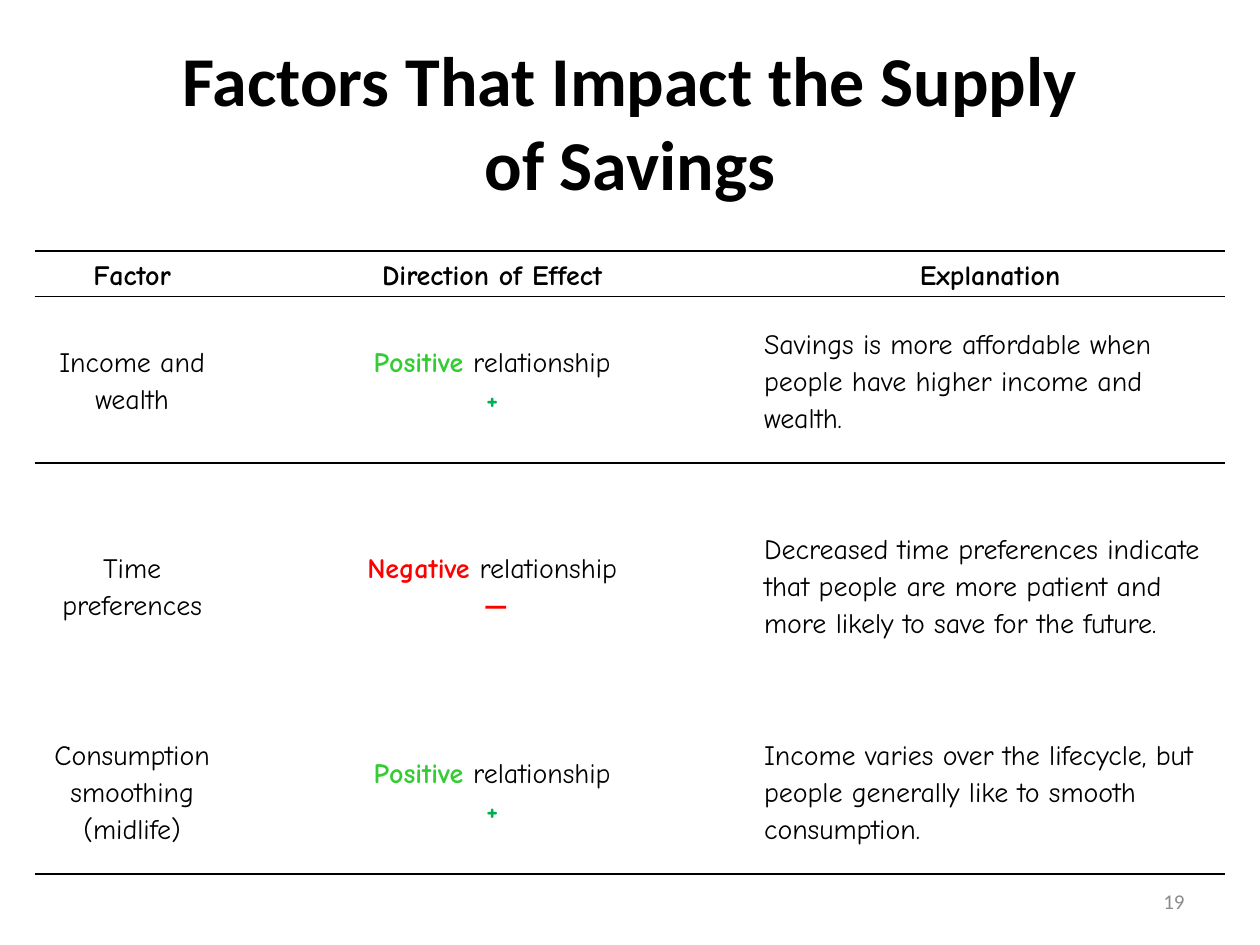
from lxml import etree
from pptx import Presentation
from pptx.dml.color import RGBColor
from pptx.enum import text
from pptx.oxml import ns
from pptx.util import Pt

BLACK = RGBColor(0x00, 0x00, 0x00)
GRAY = RGBColor(0x8C, 0x8C, 0x8C)
LIME = RGBColor(0x33, 0xCC, 0x33)
GREEN = RGBColor(0x00, 0xB0, 0x50)
RED = RGBColor(0xFF, 0x00, 0x00)

CENTER, LEFT, RIGHT = text.PP_ALIGN.CENTER, text.PP_ALIGN.LEFT, text.PP_ALIGN.RIGHT
PLAIN_STYLE = "{2D5ABB26-0587-4C30-8999-92F81FD0307C}"
COLUMN_WIDTHS = (111.5, 300, 269)
HEADER_HEIGHT, FACTOR_HEIGHT, GAP_HEIGHT = 26, 95, 22.5

HEADINGS = ("Factor", "Direction of Effect", "Explanation")
POSITIVE = ("Positive ", LIME, "+", GREEN)
NEGATIVE = ("Negative ", RED, " ̶", RED)
FACTORS = (
    ("Income and wealth", POSITIVE,
     "Savings is more affordable when people have higher income and wealth."),
    ("Time preferences", NEGATIVE,
     "Decreased time preferences indicate that people are more patient "
     "and more likely to save for the future."),
    ("Consumption smoothing (midlife)", POSITIVE,
     "Income varies over the lifecycle, but people generally like to smooth consumption."),
)


def style_font(font, name, size, color, bold=False):
    """Set the typeface, size, colour and weight of a font."""
    font.name, font.size, font.bold = name, Pt(size), bold
    font.color.rgb = color


def add_label(slide, box, wording, size, color, alignment, bold=False):
    """Add a vertically centred text box."""
    frame = slide.shapes.add_textbox(*map(Pt, box)).text_frame
    frame.word_wrap = True
    frame.vertical_anchor = text.MSO_ANCHOR.MIDDLE
    paragraph = frame.paragraphs[0]
    paragraph.text = wording
    paragraph.alignment = alignment
    style_font(paragraph.font, "Calibri", size, color, bold)


def add_rule(cell, side):
    """Draw a one-point black border on the top (T) or bottom (B) of a cell."""
    line = etree.Element(ns.qn(f"a:ln{side}"), w=str(Pt(1)))
    fill = etree.SubElement(line, ns.qn("a:solidFill"))
    etree.SubElement(fill, ns.qn("a:srgbClr"), val=str(BLACK))
    cell._tc.get_or_add_tcPr().insert(0, line)


def style_paragraph(paragraph, alignment=CENTER, bold=False):
    """Apply the table's paragraph format."""
    paragraph.alignment = alignment
    paragraph.line_spacing = 1.15
    style_font(paragraph.font, "Comic Neue", 16, BLACK, bold)


def fill_cell(cell, wording, alignment=CENTER, bold=False):
    """Write a single paragraph into a cell."""
    paragraph = cell.text_frame.paragraphs[0]
    paragraph.text = wording
    style_paragraph(paragraph, alignment, bold)


def fill_direction(cell, effect):
    """Write the coloured direction of an effect with its sign below."""
    word, word_color, sign, sign_color = effect
    relation = cell.text_frame.paragraphs[0]
    style_paragraph(relation)
    run = relation.add_run()
    run.text = word
    run.font.bold = True
    run.font.color.rgb = word_color
    relation.add_run().text = "relationship"
    mark = cell.text_frame.add_paragraph()
    mark.text = sign
    style_paragraph(mark, bold=True)
    mark.font.color.rgb = sign_color


def add_factor_table(slide, left, top):
    """Add the factor table, with an empty row between factors."""
    heights = [HEADER_HEIGHT] + [FACTOR_HEIGHT, GAP_HEIGHT] * (len(FACTORS) - 1) + [FACTOR_HEIGHT]
    box = (left, top, sum(COLUMN_WIDTHS), sum(heights))
    table = slide.shapes.add_table(len(heights), len(COLUMN_WIDTHS), *map(Pt, box)).table
    table.first_row = table.horz_banding = False
    table._tbl.tblPr.find(ns.qn("a:tableStyleId")).text = PLAIN_STYLE
    for column, width in zip(table.columns, COLUMN_WIDTHS):
        column.width = Pt(width)
    for row, height in zip(table.rows, heights):
        row.height = Pt(height)
    for cell in table.iter_cells():
        cell.fill.background()
        cell.vertical_anchor = text.MSO_ANCHOR.MIDDLE
        cell.margin_left = cell.margin_right = Pt(5.4)
        cell.margin_top = cell.margin_bottom = 0
        cell.text_frame.paragraphs[0].font.size = Pt(16)
    for column, heading in enumerate(HEADINGS):
        fill_cell(table.cell(0, column), heading, bold=True)
        add_rule(table.cell(0, column), "B")
        add_rule(table.cell(0, column), "T")
        add_rule(table.cell(1, column), "T")
        add_rule(table.cell(len(heights) - 1, column), "B")
    for index, (factor, effect, explanation) in enumerate(FACTORS):
        row = 1 + 2 * index
        fill_cell(table.cell(row, 0), factor)
        fill_direction(table.cell(row, 1), effect)
        fill_cell(table.cell(row, 2), explanation, LEFT)


def main():
    """Build and save the slide."""
    presentation = Presentation()
    presentation.slide_width, presentation.slide_height = Pt(720), Pt(540)
    slide = presentation.slides.add_slide(presentation.slide_layouts[6])
    add_label(slide, (36, 18, 648, 102), "Factors That Impact the Supply\vof Savings",
              40, BLACK, CENTER, bold=True)
    add_factor_table(slide, 19.75, 143.5)
    add_label(slide, (516, 500.5, 168, 28.75), "19", 12, GRAY, RIGHT)
    presentation.save("out.pptx")


if __name__ == "__main__":
    main()
